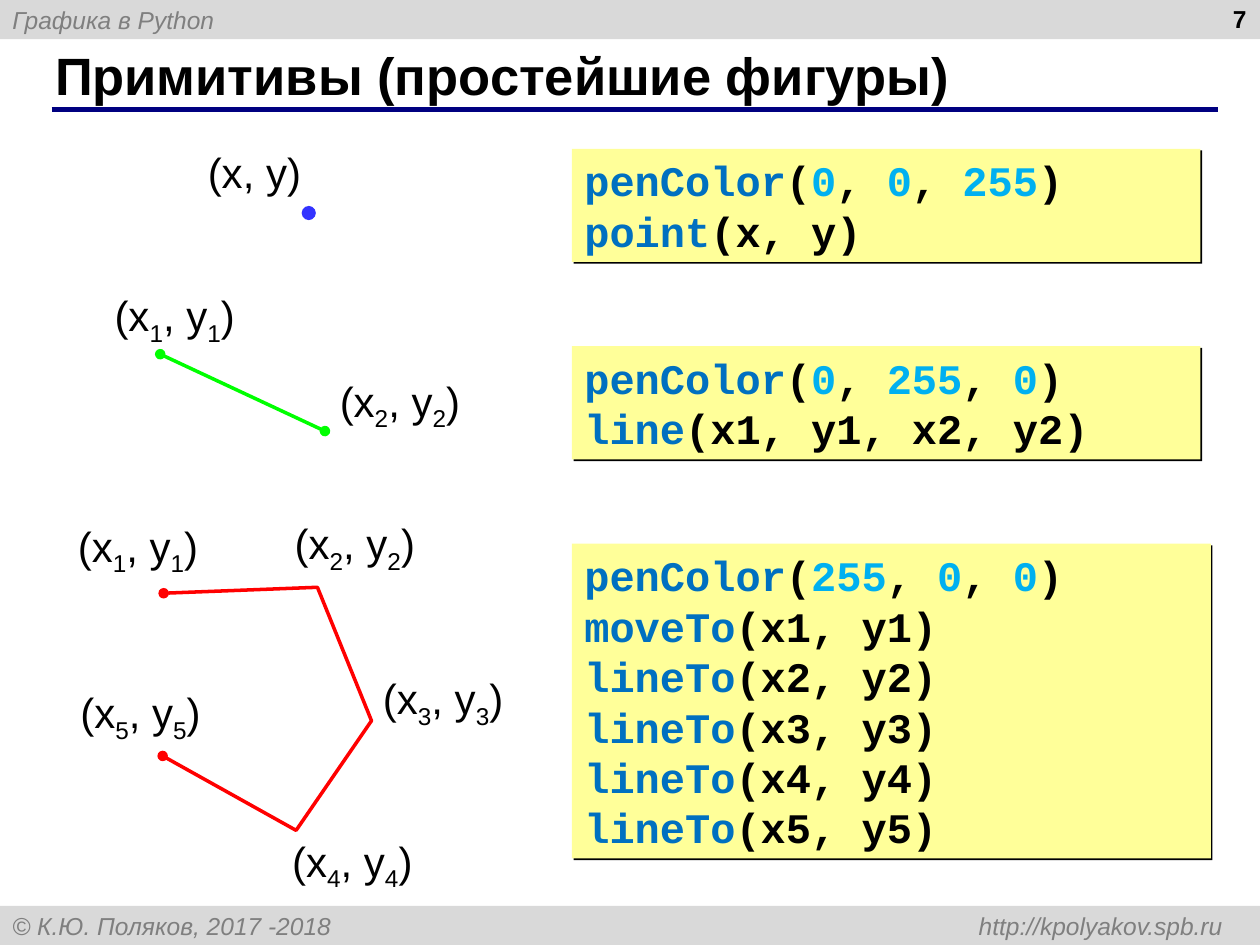
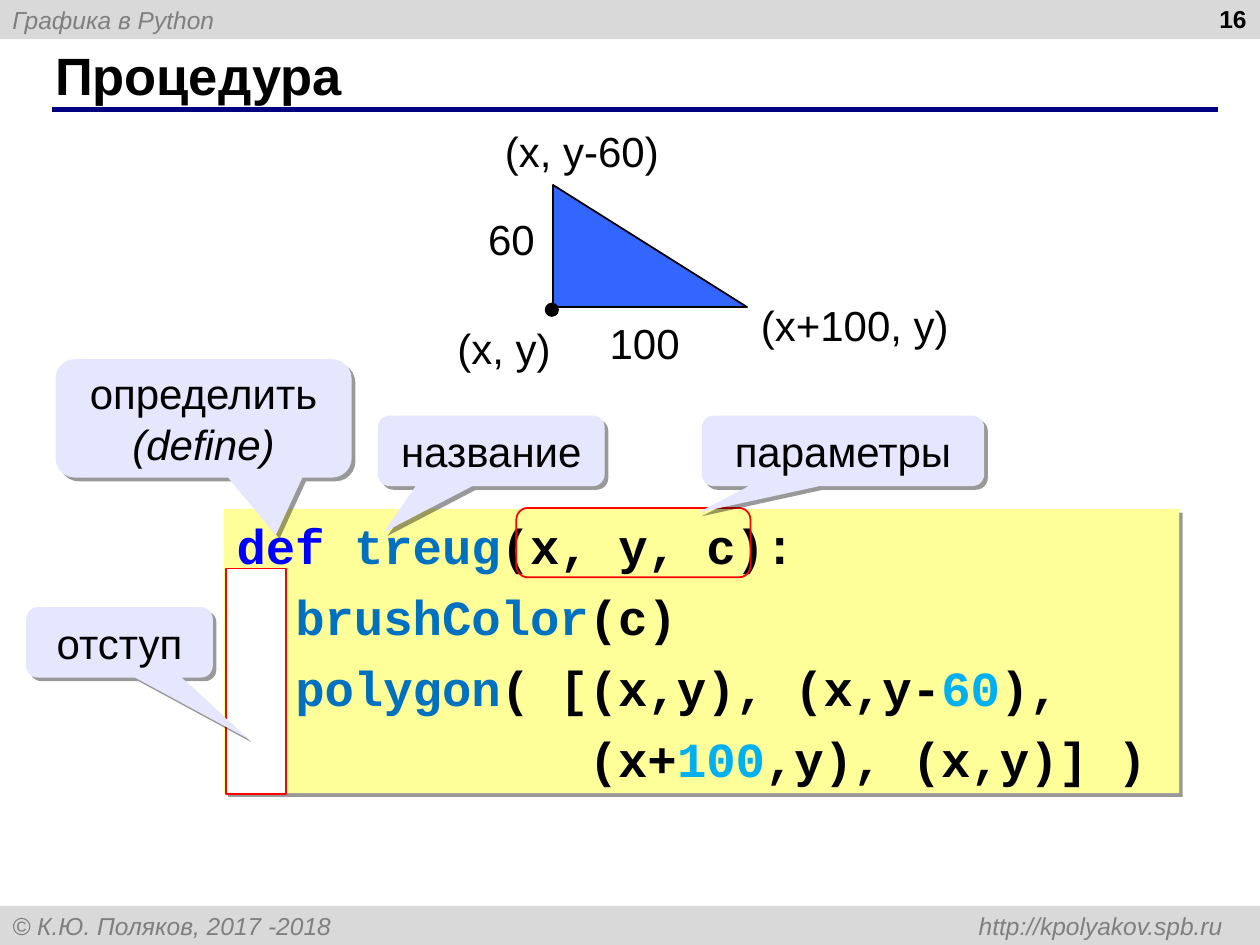
from itertools import groupby
from lxml.etree import SubElement
from pptx import Presentation
from pptx.dml.color import RGBColor as Rgb
from pptx.enum.shapes import MSO_CONNECTOR as Link, MSO_SHAPE as Form
from pptx.enum.text import MSO_ANCHOR as Anchor, PP_ALIGN as Align
from pptx.oxml.ns import qn
from pptx.util import Cm, Pt

HUES = {
    "black": "000000", "white": "FFFFFF", "band": "D9D9D9", "grey": "7F7F7F",
    "navy": "000080", "code": "FFFF99", "call": "E6E6FF", "key": "0000FF",
    "name": "0070C0", "num": "00B0F0", "dot": "3333FF", "tri": "3366FF",
    "red": "FF0000", "green": "00FF00",
}
SANS, MONO = "Arial", "Courier New"
WIDE, HIGH, BAND = 25.4, 19.05, 0.79

HEAD = "Графика в Python"
FOOT = "© К.Ю. Поляков, 2017 -2018\thttp://kpolyakov.spb.ru"
NAMES = {"penColor", "point", "line", "moveTo", "lineTo",
         "treug", "brushColor", "polygon"}

PRIMS = [
    (12.67, ["penColor(0, 0, 255)", "point(x, y)"]),
    (12.67, ["penColor(0, 255, 0)", "line(x1, y1, x2, y2)"]),
    (12.88, ["penColor(255, 0, 0)", "moveTo(x1, y1)", "lineTo(x2, y2)",
             "lineTo(x3, y3)", "lineTo(x4, y4)", "lineTo(x5, y5)"]),
]
PRIM_TAGS = [
    ("(x, y)", 3.94, 2.82),
    ("(x_1, y_1)", 2.06, 5.72), ("(x_2, y_2)", 6.6, 7.44),
    ("(x_1, y_1)", 1.32, 10.36), ("(x_2, y_2)", 5.69, 10.31),
    ("(x_3, y_3)", 7.47, 13.44), ("(x_4, y_4)", 5.64, 16.71),
    ("(x_5, y_5)", 1.37, 13.72),
]
LINE = [(3.23, 7.14), (6.55, 8.69)]
PATH = [(3.3, 11.96), (6.4, 11.84), (7.49, 14.53), (5.97, 16.74), (3.28, 15.24)]

PROC = [
    "def treug(x, y, c):",
    "  brushColor(c)",
    "  polygon( [(x,y), (x,y-60),",
    "            (x+100,y), (x,y)] )",
]
PROC_TAGS = [
    ("100", 12.04, 6.27, 2.57), ("60", 9.3, 4.17, 1.73, Align.RIGHT),
    ("(x+100, y)", 15.09, 5.92, 5.18), ("(x, y-60)", 9.93, 2.41, 4.17),
    ("(x, y)", 8.97, 6.38, 2.79),
]
CALLS = [
    (["определить ", "(define)"], (1.12, 7.24, 5.97, 2.39), (0.244, 0.984)),
    (["название"], (7.62, 8.38, 4.57, 1.42), (-0.474, 1.156)),
    (["параметры"], (14.15, 8.38, 5.69, 1.42), (-0.514, 0.877)),
    (["отступ"], (0.53, 12.24, 3.76, 1.42), (0.687, 1.366)),
]


def rgb(hue):
    return Rgb.from_string(HUES[hue])


def put(para, text, size, hue="black", font=SANS, bold=False, slant=False, sub=False):
    run = para.add_run()
    run.text = text
    face = run.font
    face.name, face.size, face.bold, face.italic = font, Pt(size), bold, slant
    face.color.rgb = rgb(hue)
    if sub:
        run._r.get_or_add_rPr().set("baseline", "-25000")


def ink(line, hue, width):
    line.color.rgb = rgb(hue)
    line.width = Pt(width)


def shape(slide, form, box, fill=None, edge=None):
    part = slide.shapes.add_shape(form, *map(Cm, box))
    part.shadow.inherit = False
    if fill:
        part.fill.solid()
        part.fill.fore_color.rgb = rgb(fill)
    else:
        part.fill.background()
    if edge:
        ink(part.line, edge, 1)
    else:
        part.line.fill.background()
    return part


def shade(part, dist, alpha):
    effect = part._element.spPr.find(qn("a:effectLst"))
    outer = SubElement(effect, qn("a:outerShdw"), dist=str(Pt(dist)),
                       dir="2700000", algn="ctr", rotWithShape="0")
    tone = SubElement(outer, qn("a:srgbClr"), val=HUES["black"])
    SubElement(tone, qn("a:alpha"), val=str(alpha * 1000))


def frame(part, anchor=Anchor.TOP, align=Align.LEFT):
    body = part.text_frame
    body.word_wrap = True
    body.vertical_anchor = anchor
    para = body.paragraphs[0]
    para.alignment = align
    return para


def text(slide, box, anchor=Anchor.TOP, align=Align.LEFT):
    return frame(slide.shapes.add_textbox(*map(Cm, box)), anchor, align)


def link(slide, start, end, hue, width):
    wire = slide.shapes.add_connector(Link.STRAIGHT, *map(Cm, start + end))
    ink(wire.line, hue, width)
    SubElement(wire._element.spPr, qn("a:effectLst"))
    return wire


def ovals(part):
    edge = part._element.spPr.find(qn("a:ln"))
    for end in ("a:headEnd", "a:tailEnd"):
        SubElement(edge, qn(end), type="oval")


def tag(slide, label, left, top, width=3.15, align=Align.LEFT):
    para = text(slide, (left, top, width, 1.3), align=align)
    first, *rest = label.split("_")
    put(para, first, 24)
    for piece in rest:
        put(para, piece[0], 24, sub=True)
        put(para, piece[1:], 24)


def tint(word):
    if word == "def":
        return "key"
    if word in NAMES:
        return "name"
    return "num" if word.isdigit() else "black"


def code(slide, lines, left, top, width, size, gap, dist, alpha):
    tall = Pt(1.2 * size * len(lines) + gap * (len(lines) - 1)).cm + 0.25
    part = shape(slide, Form.RECTANGLE, (left, top, width, tall), "code")
    shade(part, dist, alpha)
    para = frame(part)
    for i, line in enumerate(lines):
        if i:
            para = part.text_frame.add_paragraph()
            para.alignment = Align.LEFT
            para.space_before = Pt(gap)
        for _, chars in groupby(line, str.isalnum):
            word = "".join(chars)
            put(para, word, size, tint(word), MONO, bold=True)


def page(deck, title, number):
    slide = deck.slides.add_slide(deck.slide_layouts[6])
    for words, top in ((HEAD, 0), (FOOT, HIGH - BAND)):
        band = shape(slide, Form.RECTANGLE, (0, top, WIDE, BAND), "band")
        para = frame(band, Anchor.MIDDLE)
        if "\t" in words:
            tabs = SubElement(para._p.get_or_add_pPr(), qn("a:tabLst"))
            SubElement(tabs, qn("a:tab"), pos=str(Cm(24.4)), algn="r")
        put(para, words, 14, "grey", slant=True)
    link(slide, (1.04, 2.21), (24.56, 2.21), "navy", 3)
    put(text(slide, (0.86, 0.84, 23.27, 1.32), Anchor.MIDDLE), title, 30, bold=True)
    put(text(slide, (19.46, -0.05, 5.92, 1.32), align=Align.RIGHT), number, 14, bold=True)
    return slide


def prims(deck):
    slide = page(deck, "Примитивы (простейшие фигуры)", "7")
    for i, (width, lines) in enumerate(PRIMS):
        code(slide, lines, 11.53, 3 + 3.98 * i, width, 24, 0, 1.4, 100)
    shape(slide, Form.OVAL, (6.1, 4.17, 0.25, 0.25), "dot", "dot")
    ovals(link(slide, *LINE, "green", 2))
    spots = [(Cm(x), Cm(y)) for x, y in PATH]
    pen = slide.shapes.build_freeform(*spots[0])
    pen.add_line_segments(spots[1:], close=False)
    bend = pen.convert_to_shape()
    bend.shadow.inherit = False
    bend.fill.background()
    ink(bend.line, "red", 2)
    ovals(bend)
    for row in PRIM_TAGS:
        tag(slide, *row)


def proc(deck):
    slide = page(deck, "Процедура", "16")
    shape(slide, Form.RIGHT_TRIANGLE, (11.15, 3.73, 3.91, 2.46), "tri", "black")
    shape(slide, Form.OVAL, (11, 6.12, 0.25, 0.25), "black", "black")
    for row in PROC_TAGS:
        tag(slide, *row)
    code(slide, PROC, 4.52, 10.26, 19.25, 28, 7, 3, 40)
    shape(slide, Form.ROUNDED_RECTANGLE, (10.41, 10.24, 4.72, 1.4), edge="red")
    shape(slide, Form.RECTANGLE, (4.55, 11.46, 1.22, 4.55), "white", "red")
    for words, box, tip in CALLS:
        call = shape(slide, Form.ROUNDED_RECTANGULAR_CALLOUT, box, "call")
        call.adjustments[0], call.adjustments[1] = tip
        shade(call, 3, 40)
        para = frame(call, Anchor.MIDDLE, Align.CENTER)
        for i, word in enumerate(words):
            put(para, word, 24, slant=i > 0)


def main():
    deck = Presentation()
    deck.slide_width, deck.slide_height = Cm(WIDE), Cm(HIGH)
    prims(deck)
    proc(deck)
    deck.save("out.pptx")


if __name__ == "__main__":
    main()
